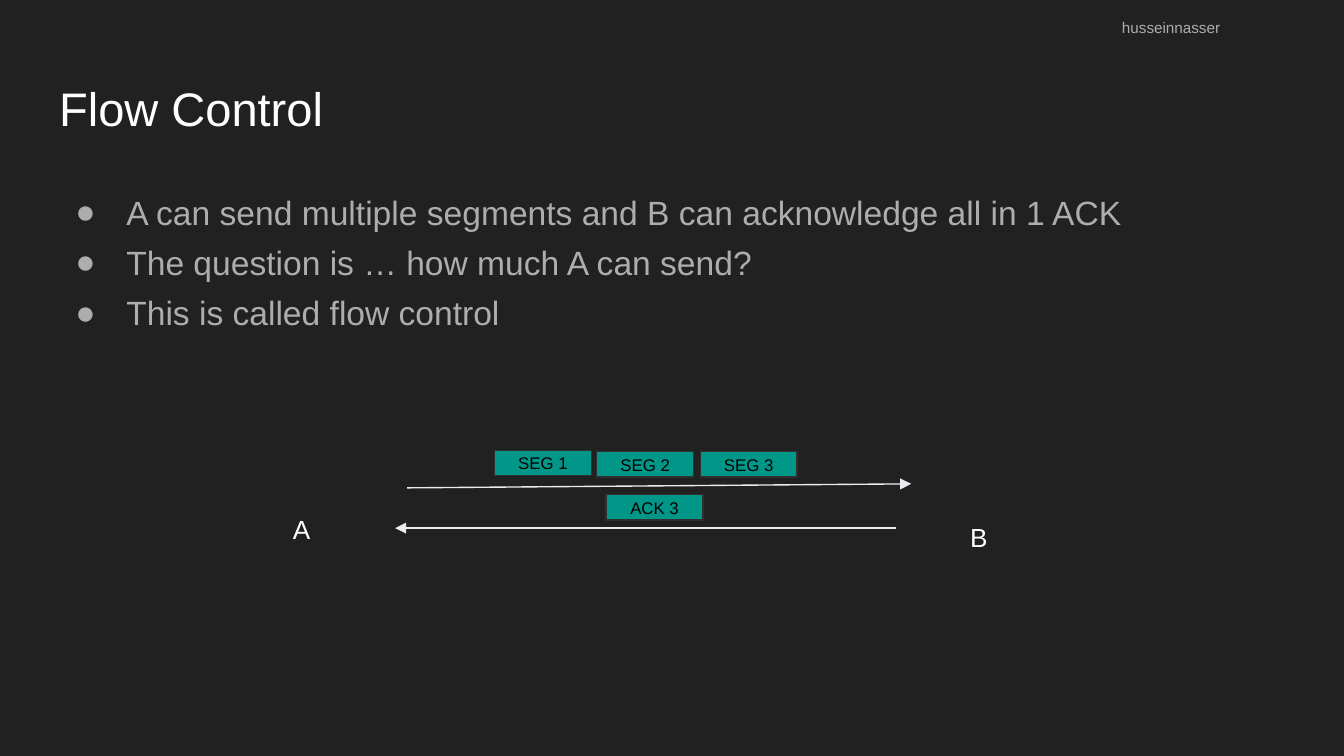
"""Build the Flow Control slide."""
from typing import NamedTuple

from lxml import etree
from pptx import Presentation
from pptx import util as u
from pptx.dml.color import RGBColor
from pptx.enum import shapes, text
from pptx.oxml import ns

DARK = RGBColor(0x21, 0x21, 0x21)
WHITE = RGBColor(0xFF, 0xFF, 0xFF)
GREY = RGBColor(0xAD, 0xAD, 0xAD)
BLACK = RGBColor(0, 0, 0)
TEAL = RGBColor(0x00, 0x96, 0x88)
EDGE = RGBColor(0x30, 0x30, 0x30)
PALE = RGBColor(0xEA, 0xEC, 0xF0)


class Box(NamedTuple):
    left: float
    top: float
    width: float
    height: float


class Style(NamedTuple):
    size: float
    color: RGBColor
    align: text.PP_ALIGN = text.PP_ALIGN.LEFT
    lead: float = 1.0
    after: float = 0


class Packet(NamedTuple):
    label: str
    left: float
    top: float


class Arrow(NamedTuple):
    x1: float
    y1: float
    x2: float
    y2: float


HEAD = Style(25.2, WHITE)
LIST = Style(18, GREY, lead=1.25)
NAME = Style(8.2, GREY, lead=0.7, after=12)
HOST = Style(14, WHITE)
UNIT = Style(9, BLACK, text.PP_ALIGN.CENTER)

POINTS = [
    "A can send multiple segments and B can acknowledge all in 1 ACK",
    "The question is … how much A can send?",
    "This is called flow control",
]
PACKETS = [
    Packet("SEG 1", 3.68, 3.35),
    Packet("SEG 2", 4.44, 3.36),
    Packet("SEG 3", 5.21, 3.36),
    Packet("ACK 3", 4.51, 3.68),
]
ARROWS = [Arrow(3.03, 3.63, 6.78, 3.6), Arrow(6.67, 3.93, 2.94, 3.93)]
LABELS = [
    ("husseinnasser", Box(8.25, 0.07, 1.7, 0.27), NAME),
    ("A", Box(2.08, 3.72, 0.41, 0.44), HOST),
    ("B", Box(7.12, 3.78, 0.41, 0.44), HOST),
]


def place(shape, box: Box) -> None:
    """Move and size a shape."""
    shape.left, shape.top, shape.width, shape.height = map(u.Inches, box)


def bullet(para) -> None:
    """Give a paragraph a round grey bullet and a hanging indent."""
    props = para._p.get_or_add_pPr()
    props.set("marL", str(u.Inches(0.5)))
    props.set("indent", str(u.Inches(-0.38)))
    tint = etree.SubElement(props, ns.qn("a:buClr"))
    etree.SubElement(tint, ns.qn("a:srgbClr"), val=str(GREY))
    etree.SubElement(props, ns.qn("a:buFont"), typeface="Arial")
    etree.SubElement(props, ns.qn("a:buChar"), char="●")


def write(shape, lines: list[str], style: Style, anchor=text.MSO_ANCHOR.TOP,
          marked: bool = False) -> None:
    """Fill a shape with styled paragraphs."""
    frame = shape.text_frame
    frame.word_wrap = True
    frame.auto_size = text.MSO_AUTO_SIZE.NONE
    frame.vertical_anchor = anchor
    frame.margin_left = frame.margin_right = u.Inches(0.1)
    frame.margin_top = frame.margin_bottom = u.Inches(0.1)
    for i, line in enumerate(lines):
        para = frame.add_paragraph() if i else frame.paragraphs[0]
        if marked:
            bullet(para)
        para.alignment = style.align
        para.line_spacing = style.lead
        para.space_before = u.Pt(0)
        para.space_after = u.Pt(style.after)
        run = para.add_run()
        run.text = line
        run.font.name = "Arial"
        run.font.size = u.Pt(style.size)
        run.font.color.rgb = style.color


def label(slide, words: str, box: Box, style: Style) -> None:
    """Add a plain text box."""
    write(slide.shapes.add_textbox(*map(u.Inches, box)), [words], style)


def packet(slide, item: Packet) -> None:
    """Add a teal packet with its label."""
    box = Box(item.left, item.top, 0.72, 0.19)
    shape = slide.shapes.add_shape(
        shapes.MSO_SHAPE.RECTANGLE, *map(u.Inches, box))
    shape.shadow.inherit = False
    shape.fill.solid()
    shape.fill.fore_color.rgb = TEAL
    shape.line.color.rgb = EDGE
    shape.line.width = u.Pt(0.75)
    write(shape, [item.label], UNIT, text.MSO_ANCHOR.MIDDLE)


def arrow(slide, item: Arrow) -> None:
    """Add a line with a triangle at its end."""
    line = slide.shapes.add_connector(
        shapes.MSO_CONNECTOR.STRAIGHT, *map(u.Inches, item))
    line.line.color.rgb = PALE
    line.line.width = u.Pt(0.75)
    etree.SubElement(
        line.line._get_or_add_ln(), ns.qn("a:tailEnd"), type="triangle")
    etree.SubElement(line._element.spPr, ns.qn("a:effectLst"))


def main() -> None:
    """Build and save the slide."""
    deck = Presentation()
    deck.slide_width = u.Inches(10)
    deck.slide_height = deck.slide_width * 9 // 16
    slide = deck.slides.add_slide(deck.slide_layouts[1])
    slide.background.fill.solid()
    slide.background.fill.fore_color.rgb = DARK

    title, body = slide.placeholders
    place(title, Box(0.34, 0.49, 9.32, 0.63))
    write(title, ["Flow Control"], HEAD)
    place(body, Box(0.34, 1.25, 9.32, 3.74))
    write(body, POINTS, LIST, marked=True)

    for words, box, style in LABELS:
        label(slide, words, box, style)
    for item in PACKETS:
        packet(slide, item)
    for item in ARROWS:
        arrow(slide, item)
    deck.save("out.pptx")


if __name__ == "__main__":
    main()
